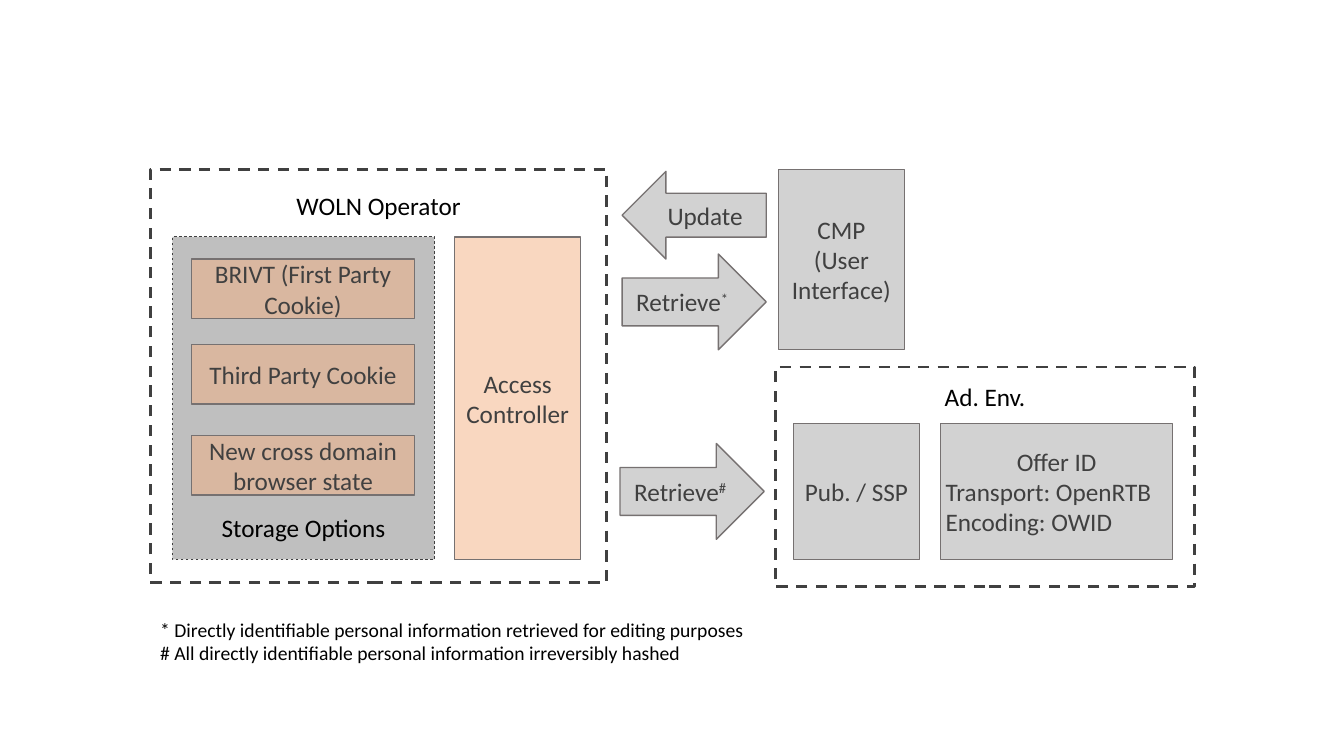
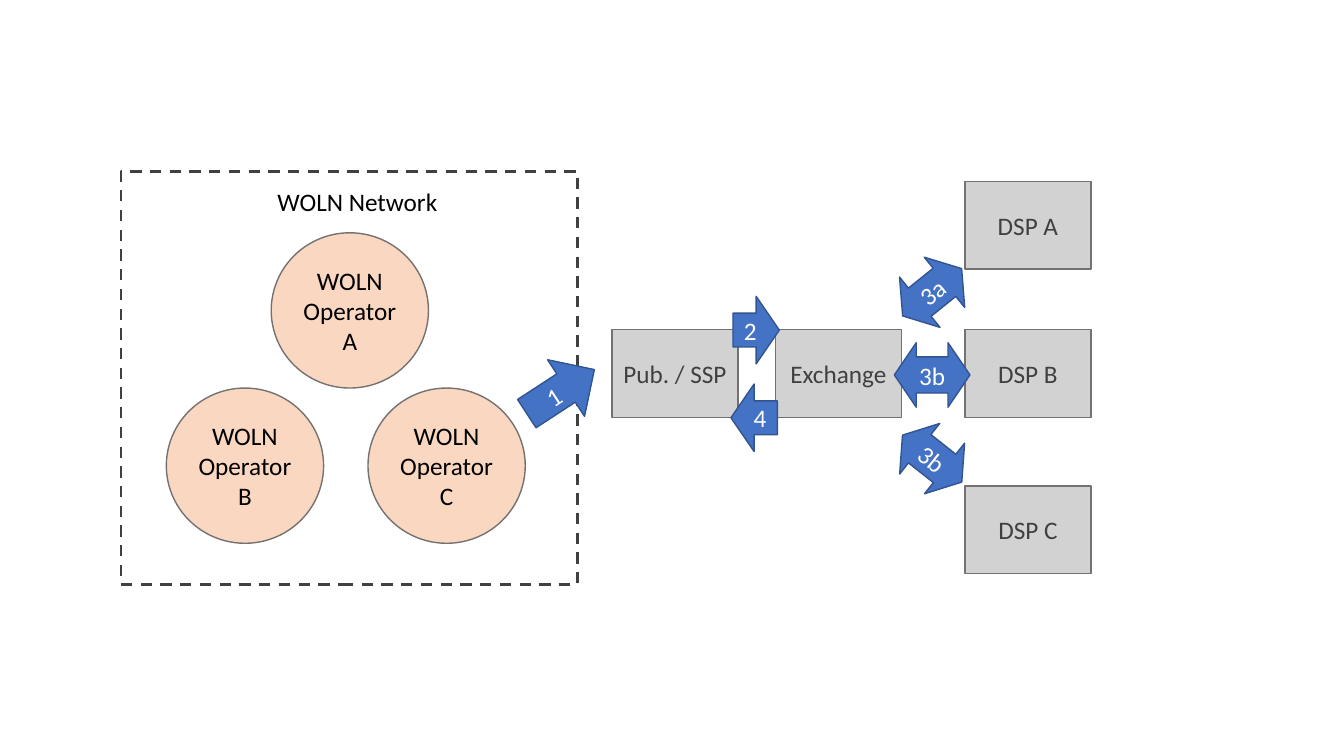
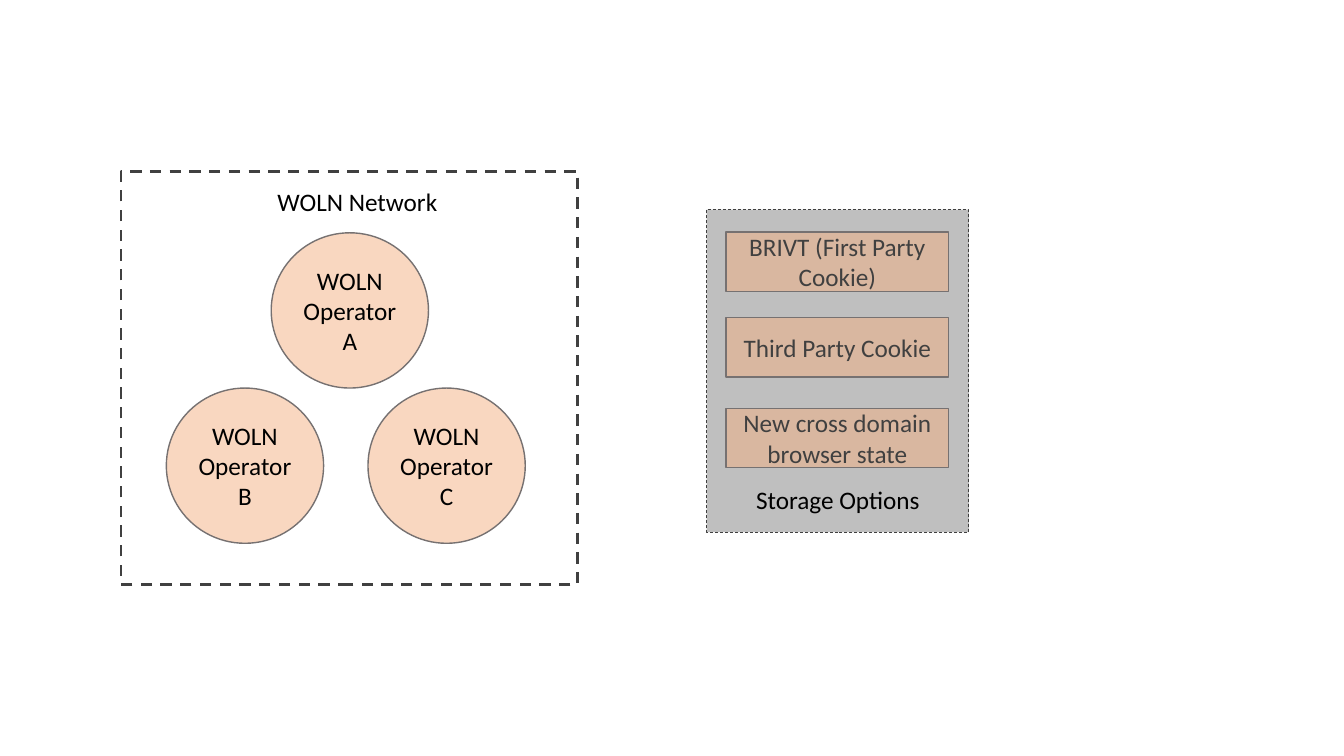
from lxml import etree
from pptx import Presentation
from pptx.dml.color import RGBColor
from pptx.enum.dml import MSO_LINE
from pptx.enum.shapes import MSO_SHAPE
from pptx.enum.text import MSO_ANCHOR, MSO_AUTO_SIZE, PP_ALIGN
from pptx.oxml.ns import qn
from pptx.util import Inches, Pt

RECTANGLE, OVAL = MSO_SHAPE.RECTANGLE, MSO_SHAPE.OVAL
LEFT_ARROW, RIGHT_ARROW = MSO_SHAPE.LEFT_ARROW, MSO_SHAPE.RIGHT_ARROW
DOUBLE_ARROW = MSO_SHAPE.LEFT_RIGHT_ARROW
CENTER, LEFT = PP_ALIGN.CENTER, PP_ALIGN.LEFT
DASH = MSO_LINE.DASH

# Shared look
FONT = "Calibri"
COLORS = {
    "peach": "F4B183", "gray": "A6A6A6", "panel": "BFBFBF", "blue": "4472C4",
    "edge": "767171", "blue_edge": "325491", "dark": "404040",
    "black": "000000", "white": "FFFFFF",
}
STYLES = {
    "peach": dict(fill="peach", alpha=50, line="edge", text="dark", inset=0.05),
    "operator": dict(fill="peach", alpha=50, line="edge", text="black", inset=0.05),
    "gray": dict(fill="gray", alpha=50, line="edge", text="dark", inset=0.05),
    "step": dict(fill="blue", line="blue_edge", text="white", inset=0.1),
    "panel": dict(fill="panel", line="dark", width=0.5, dash=DASH),
    "frame": dict(line="dark", width=2, dash=DASH),
}

# Content shared by slides
STORAGE_OPTIONS = [
    ("BRIVT (First Party Cookie)", 0.22),
    ("Third Party Cookie", 1.07),
    ("New cross domain browser state", 1.97),
]
OPERATORS = [("A", 2.69, 2.31), ("B", 1.65, 3.85), ("C", 3.65, 3.85)]

# Slide 1: style, preset, place, text, superscript
DATA_FLOW = [
    ("peach", RECTANGLE, (4.51, 2.35, 1.25, 3.2), "Access Controller", ""),
    ("gray", LEFT_ARROW, (6.17, 1.7, 1.43, 0.87), "Update", ""),
    ("gray", RIGHT_ARROW, (6.17, 2.52, 1.43, 0.95), "Retrieve", "*"),
    ("gray", RIGHT_ARROW, (6.15, 4.4, 1.43, 0.95), "Retrieve", "#"),
    ("gray", RECTANGLE, (7.72, 1.68, 1.25, 1.79), "CMP\n(User Interface)", ""),
    ("gray", RECTANGLE, (7.87, 4.2, 1.25, 1.35), "Pub. / SSP", ""),
    ("frame", RECTANGLE, (1.49, 1.68, 4.53, 4.1), "", ""),
    ("frame", RECTANGLE, (7.69, 3.64, 4.16, 2.18), "", ""),
]
OFFER = "Offer ID\nTransport: OpenRTB\nEncoding: OWID"
FLOW_TITLES = [
    ("WOLN Operator", (1.49, 1.84, 4.53, 0.4)),
    ("Ad. Env.", (7.69, 3.73, 4.16, 0.4)),
]
FOOTNOTES = ("* Directly identifiable personal information retrieved for editing purposes\n"
             "# All directly identifiable personal information irreversibly hashed")

# Slide 2: parties, then numbered steps with rotation
PARTIES = [
    ("Pub. / SSP", 6.07, 3.27), ("Exchange", 7.69, 3.27),
    ("DSP A", 9.57, 1.8), ("DSP B", 9.57, 3.27), ("DSP C", 9.57, 4.82),
]
STEPS = [
    ("1", RIGHT_ARROW, (5.16, 3.55, 0.8, 0.67), 326.9),
    ("2", RIGHT_ARROW, (7.27, 2.94, 0.46, 0.67), 0),
    ("4", LEFT_ARROW, (7.25, 3.81, 0.46, 0.67), 0),
    ("3b", DOUBLE_ARROW, (8.87, 3.4, 0.75, 0.64), 0),
    ("3a", DOUBLE_ARROW, (8.87, 2.58, 0.75, 0.64), 321.2),
    ("3b", DOUBLE_ARROW, (8.87, 4.23, 0.75, 0.64), 38.4),
]


def color(name):
    return RGBColor.from_string(COLORS[name])


def add_run(paragraph, text, text_color, size):
    run = paragraph.add_run()
    run.text = text
    for name, value in {"name": FONT, "size": Pt(size)}.items():
        setattr(run.font, name, value)
    run.font.color.rgb = color(text_color)
    return run


def write(frame, text, text_color, size=18, alignments=(CENTER,), superscript=""):
    """One paragraph a line; the last alignment serves the remaining lines."""
    frame.word_wrap = True
    for index, line in enumerate(text.split("\n")):
        paragraph = frame.paragraphs[0] if index == 0 else frame.add_paragraph()
        paragraph.alignment = alignments[min(index, len(alignments) - 1)]
        add_run(paragraph, line, text_color, size)
    if superscript:
        raised = add_run(paragraph, superscript, text_color, size)
        raised.font._element.set("baseline", "30000")


def add_box(slide, style_name, preset, place, text="", **text_format):
    style = STYLES[style_name]
    shape = slide.shapes.add_shape(preset, *map(Inches, place))
    shape.shadow.inherit = False
    if "fill" in style:
        shape.fill.solid()
        shape.fill.fore_color.rgb = color(style["fill"])
        if "alpha" in style:
            rgb = shape._element.spPr.find(qn("a:solidFill")).find(qn("a:srgbClr"))
            etree.SubElement(rgb, qn("a:alpha")).set("val", str(style["alpha"] * 1000))
    else:
        shape.fill.background()
    shape.line.color.rgb = color(style["line"])
    shape.line.width = Pt(style.get("width", 1))
    if "dash" in style:
        shape.line.dash_style = style["dash"]
    if text:
        frame = shape.text_frame
        frame.vertical_anchor = MSO_ANCHOR.MIDDLE
        for side, margin in {"left": style["inset"], "right": style["inset"],
                             "top": 0.05, "bottom": 0.05}.items():
            setattr(frame, f"margin_{side}", Inches(margin))
        write(frame, text, style["text"], **text_format)
    return shape


def add_label(slide, text, place, **text_format):
    frame = slide.shapes.add_textbox(*map(Inches, place)).text_frame
    write(frame, text, "black", **text_format)
    frame.auto_size = MSO_AUTO_SIZE.SHAPE_TO_FIT_TEXT


def add_storage(slide, left, top):
    add_box(slide, "panel", RECTANGLE, (left, top, 2.6, 3.2))
    for text, offset in STORAGE_OPTIONS:
        add_box(slide, "peach", RECTANGLE, (left + 0.19, top + offset, 2.21, 0.59), text)
    add_label(slide, "Storage Options", (left + 0.2, top + 2.68, 2.2, 0.4))


def add_network(slide):
    for letter, left, top in OPERATORS:
        add_box(slide, "operator", OVAL, (left, top, 1.56, 1.54), f"WOLN\nOperator\n{letter}")
    add_box(slide, "frame", RECTANGLE, (1.2, 1.7, 4.53, 4.1))
    add_label(slide, "WOLN Network", (1.28, 1.8, 4.53, 0.4))


presentation = Presentation()
presentation.slide_width, presentation.slide_height = Inches(13.33), Inches(7.5)
blank = presentation.slide_layouts[6]
flow, exchange, storage = [presentation.slides.add_slide(blank) for _ in range(3)]

# Slide 1: operator, user interface and advertising environment
add_storage(flow, 1.71, 2.35)
for style_name, preset, place, text, superscript in DATA_FLOW:
    add_box(flow, style_name, preset, place, text, superscript=superscript)
add_box(flow, "gray", RECTANGLE, (9.33, 4.2, 2.3, 1.35), OFFER, alignments=(CENTER, LEFT))
for text, place in FLOW_TITLES:
    add_label(flow, text, place)
add_label(flow, FOOTNOTES, (1.49, 6.08, 10.44, 0.57), size=14, alignments=(LEFT,))

# Slide 2: network and bidding steps
add_network(exchange)
for text, left, top in PARTIES:
    add_box(exchange, "gray", RECTANGLE, (left, top, 1.25, 0.87), text)
for text, preset, place, rotation in STEPS:
    arrow = add_box(exchange, "step", preset, place, text)
    arrow.rotation = rotation
    if preset == DOUBLE_ARROW:
        arrow.adjustments[0], arrow.adjustments[1] = 0.56, 0.34

# Slide 3: network and storage
add_network(storage)
add_storage(storage, 7.01, 2.08)

presentation.save("out.pptx")
